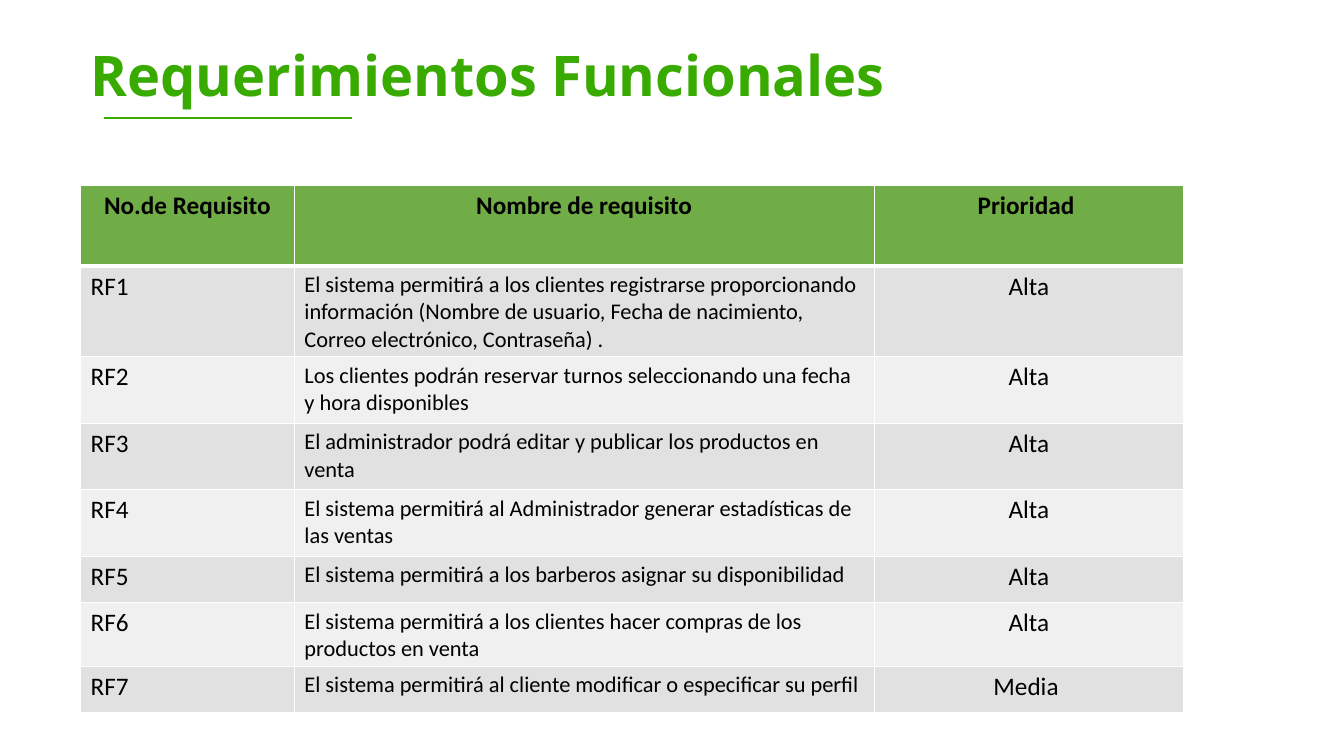
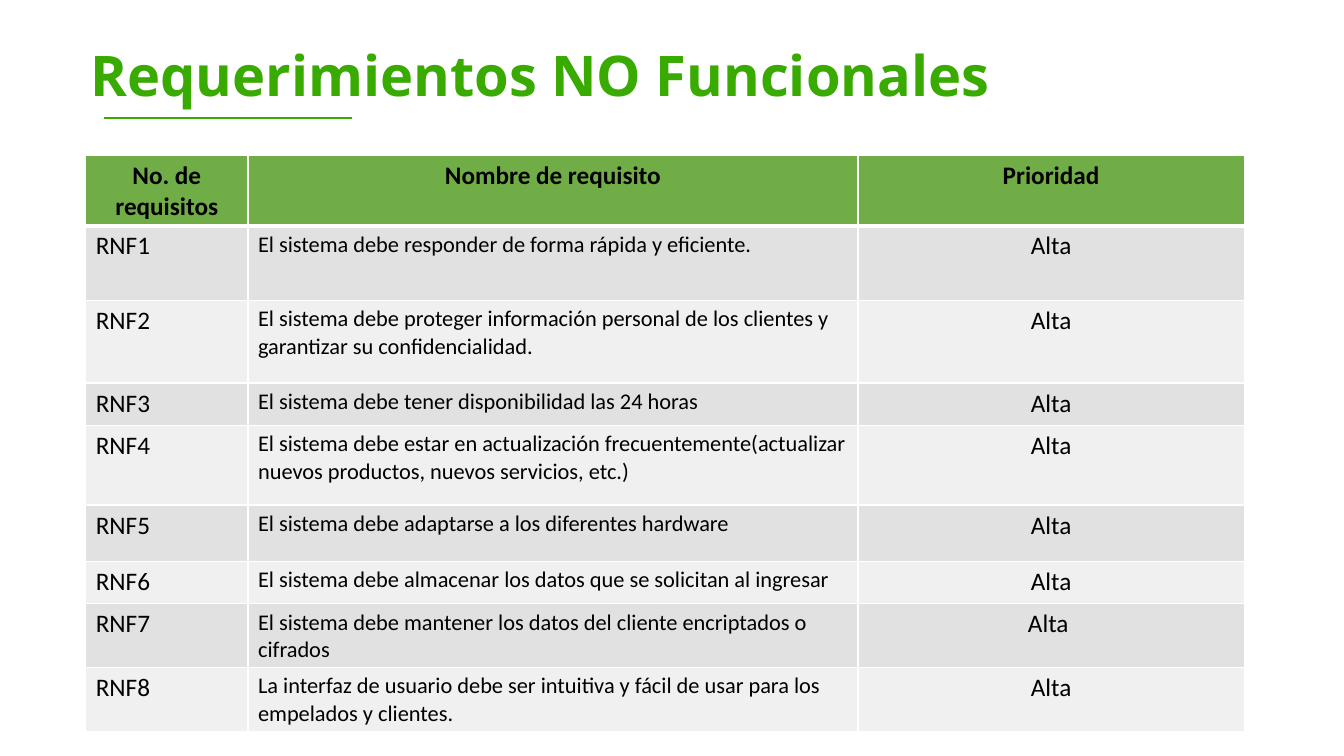
from lxml import etree
from pptx import Presentation
from pptx.dml.color import RGBColor
from pptx.enum.shapes import MSO_CONNECTOR
from pptx.enum.text import PP_ALIGN
from pptx.oxml.ns import qn
from pptx.util import Pt

PX = 9144  # 100 px to the inch
SLIDE_W, SLIDE_H = 1333, 750

GREEN = RGBColor(0x38, 0xAA, 0x00)
HEADER_GREEN = RGBColor(0x70, 0xAD, 0x47)
BANDS = (RGBColor(0xE1, 0xE1, 0xE1), RGBColor(0xF0, 0xF0, 0xF0))
BLACK = RGBColor(0x00, 0x00, 0x00)
WHITE = RGBColor(0xFF, 0xFF, 0xFF)

TITLE_FONT = "Open Sans"
TABLE_FONT = "Calibri"
STRAIGHT = MSO_CONNECTOR.STRAIGHT
LEFT, CENTER = PP_ALIGN.LEFT, PP_ALIGN.CENTER

COLUMN_ALIGN = (LEFT, LEFT, CENTER)
COLUMN_SIZE = (18, 16, 18)

FUNCTIONAL = [
    ("No.de Requisito", "Nombre de requisito", "Prioridad "),
    ("RF1", "El sistema permitirá a los clientes registrarse proporcionando información "
            "(Nombre de usuario, Fecha de nacimiento, Correo electrónico, Contraseña) .", "Alta"),
    ("RF2", "Los clientes podrán reservar turnos seleccionando una fecha y hora disponibles", "Alta"),
    ("RF3", "El administrador podrá editar y publicar los productos en venta", "Alta"),
    ("RF4", "El sistema permitirá al Administrador generar estadísticas de las ventas", "Alta"),
    ("RF5", "El sistema permitirá a los barberos asignar su disponibilidad", "Alta"),
    ("RF6", "El sistema permitirá a los clientes hacer compras de los productos en venta", "Alta"),
    ("RF7", "El sistema permitirá al cliente modificar o especificar su perfil", "Media "),
]

NON_FUNCTIONAL = [
    ("No. de requisitos", "Nombre de requisito", "Prioridad"),
    ("RNF1", "El sistema debe responder de forma rápida y eficiente.", "Alta"),
    ("RNF2", "El sistema debe proteger información personal de los clientes y garantizar "
             "su confidencialidad.", "Alta"),
    ("RNF3", "El sistema debe tener disponibilidad las 24 horas", "Alta"),
    ("RNF4", "El sistema debe estar en actualización frecuentemente(actualizar nuevos "
             "productos, nuevos servicios, etc.)", "Alta"),
    ("RNF5", "El sistema debe adaptarse a los diferentes hardware", "Alta"),
    ("RNF6", "El sistema debe almacenar los datos que se solicitan al ingresar", "Alta"),
    ("RNF7", "El sistema debe mantener los datos del cliente encriptados o cifrados", "Alta "),
    ("RNF8", "La interfaz de usuario debe ser intuitiva y fácil de usar para los empelados "
             "y clientes.", "Alta"),
]


def px(*lengths):
    return [n * PX for n in lengths]


def style_paragraph(p, font, size, color, bold, align=LEFT):
    p.alignment = align
    p.font.name = font
    p.font.size = Pt(size)
    p.font.color.rgb = color
    p.font.bold = bold


def add_title(s, text):
    """Add the title and the short rule under it."""
    tf = s.shapes.add_textbox(*px(80, 35, 1124, 86)).text_frame
    tf.word_wrap = True
    tf.text = text
    style_paragraph(tf.paragraphs[0], TITLE_FONT, 40, GREEN, True)

    rule = s.shapes.add_connector(STRAIGHT, *px(103, 117, 349, 117))
    rule.line.color.rgb = GREEN
    rule.line.width = Pt(1)
    etree.SubElement(rule._element.spPr, qn("a:effectLst"))


def set_borders(cell, top, bottom):
    """Draw white borders; only the top and bottom widths (points) vary."""
    tcPr = cell._tc.get_or_add_tcPr()
    for side, width in (("L", 1), ("R", 1), ("T", top), ("B", bottom)):
        ln = etree.SubElement(tcPr, qn(f"a:ln{side}"), w=str(Pt(width)))
        fill = etree.SubElement(ln, qn("a:solidFill"))
        etree.SubElement(fill, qn("a:srgbClr"), val=str(WHITE))


def fill_cell(cell, text, row, col):
    header = row == 0
    set_borders(cell, top=3 if row == 1 else 1, bottom=3 if header else 1)
    cell.fill.solid()
    cell.fill.fore_color.rgb = HEADER_GREEN if header else BANDS[(row - 1) % 2]
    cell.text = text
    style_paragraph(cell.text_frame.paragraphs[0], TABLE_FONT,
                    18 if header else COLUMN_SIZE[col], BLACK, header,
                    CENTER if header else COLUMN_ALIGN[col])


def add_requirements(s, left, top, widths, heights, rows):
    frame = s.shapes.add_table(len(rows), len(widths),
                               *px(left, top, sum(widths), sum(heights)))
    table = frame.table
    table.horz_banding = False
    for column, width in zip(table.columns, px(*widths)):
        column.width = width
    for i, (height, texts) in enumerate(zip(px(*heights), rows)):
        table.rows[i].height = height
        for j, text in enumerate(texts):
            fill_cell(table.cell(i, j), text, i, j)


def add_slide(prs, title, *table):
    s = prs.slides.add_slide(prs.slide_layouts[6])
    add_title(s, title)
    add_requirements(s, *table)


def main():
    prs = Presentation()
    prs.slide_width, prs.slide_height = px(SLIDE_W, SLIDE_H)
    add_slide(prs, "Requerimientos Funcionales", 80, 184, (212, 575, 307),
              (80, 66, 66, 66, 66, 46, 46, 46), FUNCTIONAL)
    add_slide(prs, "Requerimientos NO Funcionales", 85, 154, (161, 605, 383),
              (61, 74, 82, 42, 79, 56, 42, 42, 58), NON_FUNCTIONAL)
    prs.save("out.pptx")


if __name__ == "__main__":
    main()
